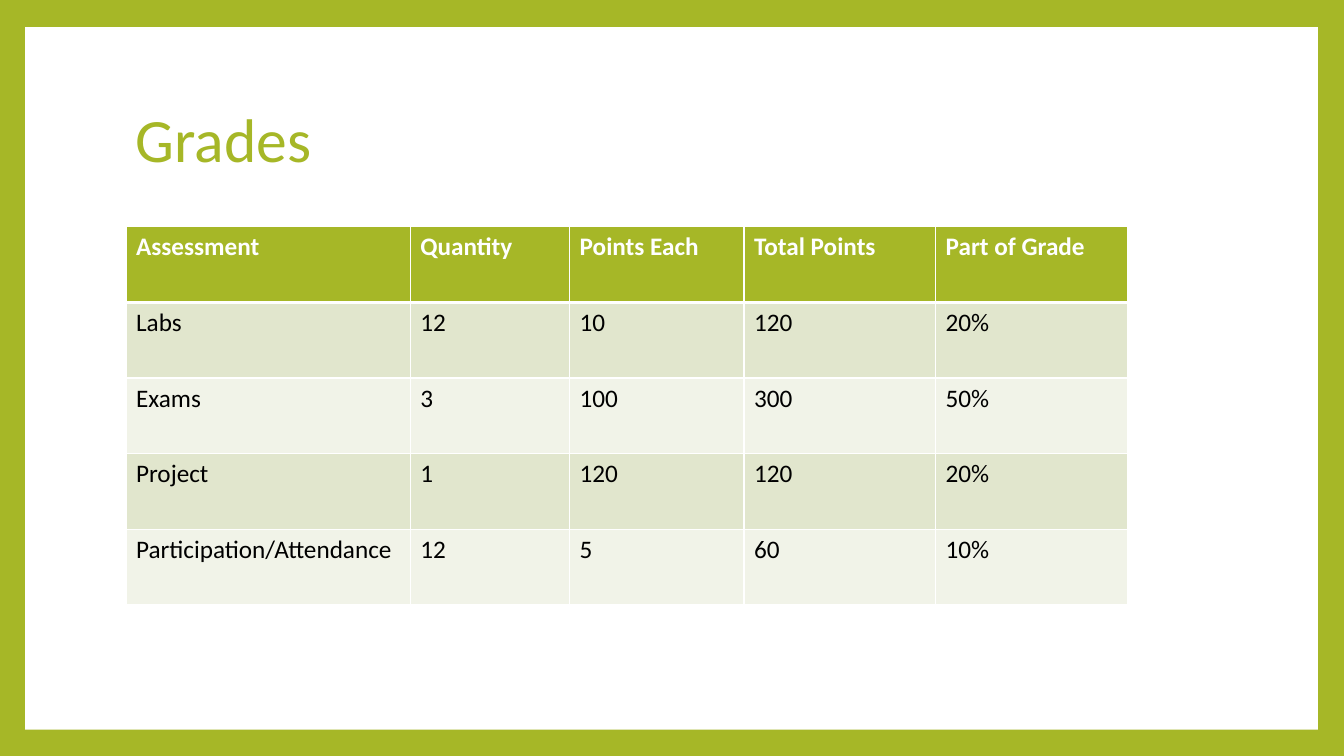
from dataclasses import dataclass

from lxml.etree import SubElement
from pptx import Presentation
from pptx.dml.color import RGBColor
from pptx.enum.shapes import MSO_SHAPE
from pptx.enum.text import MSO_ANCHOR
from pptx.oxml.ns import qn
from pptx.util import Inches, Pt


@dataclass(frozen=True)
class Theme:
    font: str = "Calibri"
    green: str = "A6B727"
    white: str = "FFFFFF"
    black: str = "000000"
    bands: tuple = ("E1E6CD", "F1F3E8")
    title_size: int = 44
    table_size: int = 18
    thin_rule: int = 1
    thick_rule: int = 3


THEME = Theme()
PAGE_WIDTH, PAGE_HEIGHT = 13.33, 7.5
LEFT_MARGIN = 1.25
COLUMN_WIDTHS = (2.82, 1.58, 1.73, 1.9, 1.9)
ROW_HEIGHT = PAGE_HEIGHT / 10
GRADES = (
    ("Assessment", "Quantity", "Points Each", "Total Points", "Part of Grade"),
    ("Labs", "12", "10", "120", "20%"),
    ("Exams", "3", "100", "300", "50%"),
    ("Project", "1", "120", "120", "20%"),
    ("Participation/Attendance", "12", "5", "60", "10%"),
)


def paint(fill, color):
    fill.solid()
    fill.fore_color.rgb = RGBColor.from_string(color)


def write(frame, text, color, **font_format):
    para = frame.paragraphs[0]
    span = para.add_run()
    span.text = text
    span.font.color.rgb = RGBColor.from_string(color)
    for name, value in {"name": THEME.font, **font_format}.items():
        setattr(span.font, name, value)
    return para


def add_panel(page):
    """Lay the white panel that leaves the background as a frame."""
    box = page.shapes.add_shape(
        MSO_SHAPE.RECTANGLE, *map(Inches, (0.25, 0.27, 12.82, 6.97)))
    box.shadow.inherit = False
    paint(box.fill, THEME.white)
    box.line.fill.background()


def add_title(page, text):
    box = page.shapes.add_textbox(
        *map(Inches, (LEFT_MARGIN, 0.67, 10.8, 1.48)))
    frame = box.text_frame
    frame.word_wrap = True
    frame.vertical_anchor = MSO_ANCHOR.MIDDLE
    para = write(frame, text, THEME.green, size=Pt(THEME.title_size))
    para.line_spacing = 0.9


def rule_cell(cell, **widths):
    """Draw the cell's white borders; widths are points by side, L R T B."""
    properties = cell._tc.get_or_add_tcPr()
    for side, width in widths.items():
        line = SubElement(properties, qn(f"a:ln{side}"), w=str(Pt(width)))
        fill = SubElement(line, qn("a:solidFill"))
        SubElement(fill, qn("a:srgbClr"), val=THEME.white)


def style_cell(cell, text, row):
    header = row == 0
    thin, thick = THEME.thin_rule, THEME.thick_rule
    rule_cell(cell, L=thin, R=thin, T=thick if row == 1 else thin,
              B=thick if header else thin)
    paint(cell.fill, THEME.green if header else THEME.bands[(row - 1) % 2])
    write(cell.text_frame, text, THEME.white if header else THEME.black,
          size=Pt(THEME.table_size), bold=header)


def add_grades_table(page, rows):
    area = (LEFT_MARGIN, 3 * ROW_HEIGHT,
            sum(COLUMN_WIDTHS), len(rows) * ROW_HEIGHT)
    table = page.shapes.add_table(
        len(rows), len(COLUMN_WIDTHS), *map(Inches, area)).table
    for column, width in zip(table.columns, COLUMN_WIDTHS):
        column.width = Inches(width)
    for row, texts in enumerate(rows):
        table.rows[row].height = Inches(ROW_HEIGHT)
        for column, text in enumerate(texts):
            style_cell(table.cell(row, column), text, row)


def main():
    deck = Presentation()
    deck.slide_width = Inches(PAGE_WIDTH)
    deck.slide_height = Inches(PAGE_HEIGHT)
    page = deck.slides.add_slide(deck.slide_layouts[6])
    paint(page.background.fill, THEME.green)
    add_panel(page)
    add_title(page, "Grades")
    add_grades_table(page, GRADES)
    deck.save("out.pptx")


if __name__ == "__main__":
    main()
